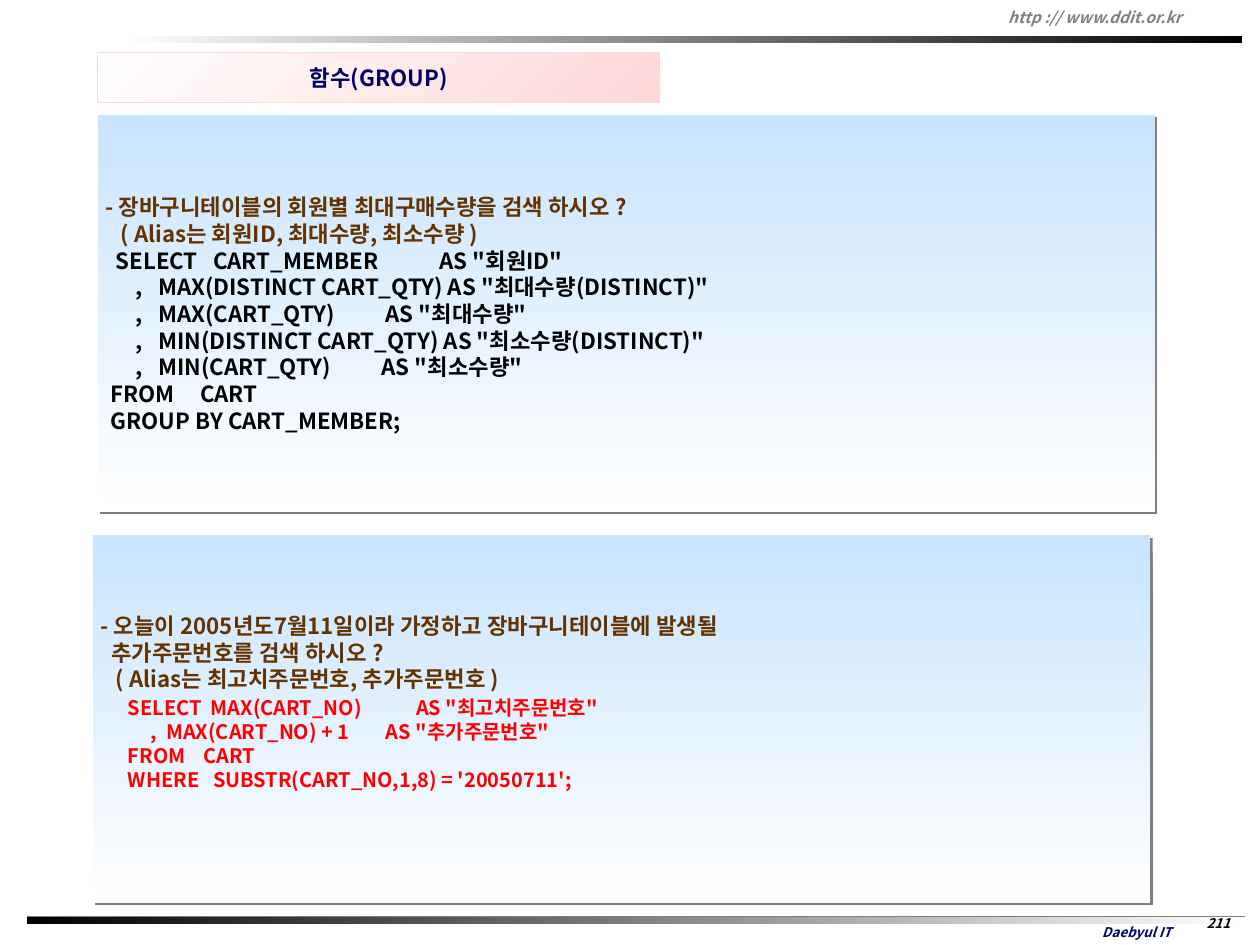
from dataclasses import dataclass
from lxml.etree import SubElement
from pptx import Presentation
from pptx.dml.color import RGBColor
from pptx.enum.shapes import MSO_CONNECTOR, MSO_SHAPE
from pptx.enum.text import MSO_ANCHOR, PP_ALIGN
from pptx.oxml.ns import qn
from pptx.util import Emu, Inches, Pt

FONT = "Noto Sans CJK KR"
WIDE, HIGH = Inches(15.75), Inches(11.81)
NAVY, BROWN, GRAY, BLACK, WHITE, RED, PINK, SKY = (
    "000066", "663300", "808080", "000000", "FFFFFF", "FF0000", "FFD7D7", "C8E4FE")


@dataclass
class Area:
    """Left, top, width and height in percent of the slide."""
    x: float
    y: float
    w: float
    h: float

    def cut(self) -> tuple[Emu, Emu, Emu, Emu]:
        return (Emu(int(WIDE * self.x / 100)), Emu(int(HIGH * self.y / 100)),
                Emu(int(WIDE * self.w / 100)), Emu(int(HIGH * self.h / 100)))


@dataclass
class Line:
    text: str
    color: str
    size: int = 20
    indent: float = 0
    slant: bool = False


@dataclass
class Bar:
    area: Area
    start: str
    end: str
    angle: int = 0
    edge: str = ""
    shade: bool = False


@dataclass
class Label:
    area: Area
    lines: list[Line]
    align: PP_ALIGN = PP_ALIGN.LEFT
    anchor: MSO_ANCHOR = MSO_ANCHOR.MIDDLE
    wrap: bool = True
    side: float = 0.1


@dataclass
class Panel:
    bar: Bar
    lines: list[Line]
    foot: float = 0.09


def rgb(code: str) -> RGBColor:
    return RGBColor.from_string(code)


def code(text: str, color: str, size: int) -> list[Line]:
    return [Line(row, color, size) for row in text.split("\n")]


def write(frame, lines: list[Line], align: PP_ALIGN, anchor: MSO_ANCHOR, wrap: bool = True) -> None:
    frame.word_wrap = wrap
    frame.vertical_anchor = anchor
    for num, line in enumerate(lines):
        para = frame.paragraphs[0] if num == 0 else frame.add_paragraph()
        para.alignment = align
        if line.indent:
            para._p.get_or_add_pPr().set("marL", str(Inches(line.indent)))
        run = para.add_run()
        run.text = line.text
        font = run.font
        font.name, font.size, font.bold, font.italic = FONT, Pt(line.size), True, line.slant
        font.color.rgb = rgb(line.color)
        SubElement(run._r.get_or_add_rPr(), qn("a:ea"), typeface=FONT)


def cast(shape) -> None:
    """Give the shape a hard gray shadow to the lower right."""
    glow = SubElement(shape._element.spPr.find(qn("a:effectLst")), qn("a:outerShdw"),
                      dist=str(Pt(2.8)), dir="2700000", algn="ctr", rotWithShape="0")
    SubElement(glow, qn("a:srgbClr"), val=GRAY)


def draw(slide, bar: Bar):
    shape = slide.shapes.add_shape(MSO_SHAPE.RECTANGLE, *bar.area.cut())
    shape.shadow.inherit = False
    shape.fill.gradient()
    shape.fill.gradient_angle = (360 - bar.angle) % 360
    for stop, color in zip(shape.fill.gradient_stops, (bar.start, bar.end)):
        stop.color.rgb = rgb(color)
    if bar.edge:
        shape.line.color.rgb = rgb(bar.edge)
        shape.line.width = Pt(0.75)
    else:
        shape.line.fill.background()
    if bar.shade:
        cast(shape)
    return shape


def rule(slide, area: Area) -> None:
    left, top, width, _ = area.cut()
    line = slide.shapes.add_connector(MSO_CONNECTOR.STRAIGHT, left, top, left + width, top)
    line.line.color.rgb = rgb(GRAY)
    line.line.width = Pt(1.5)
    SubElement(line._element.spPr, qn("a:effectLst"))


def label(slide, item: Label) -> None:
    frame = slide.shapes.add_textbox(*item.area.cut()).text_frame
    frame.margin_left = frame.margin_right = Inches(item.side)
    write(frame, item.lines, item.align, item.anchor, item.wrap)


def panel(slide, item: Panel) -> None:
    frame = draw(slide, item.bar).text_frame
    frame.margin_top, frame.margin_bottom = Inches(0.09), Inches(item.foot)
    write(frame, item.lines, PP_ALIGN.LEFT, MSO_ANCHOR.MIDDLE)


GROUP = '''  SELECT   CART_MEMBER            AS "회원ID"
      ,   MAX(DISTINCT CART_QTY) AS "최대수량(DISTINCT)"
      ,   MAX(CART_QTY)          AS "최대수량"
      ,   MIN(DISTINCT CART_QTY) AS "최소수량(DISTINCT)"
      ,   MIN(CART_QTY)          AS "최소수량"
 FROM     CART
 GROUP BY CART_MEMBER;'''
ORDER = '''SELECT  MAX(CART_NO)            AS "최고치주문번호"
     ,  MAX(CART_NO) + 1        AS "추가주문번호"
FROM    CART
WHERE   SUBSTR(CART_NO,1,8) = '20050711';'''

BASE = Area(2.16, 97.04, 96.63, 0.76)
BARS = [Bar(BASE, BLACK, WHITE), Bar(Area(9.65, 3.81, 88.89, 0.76), WHITE, BLACK)]
LABELS = [
    Label(Area(84.19, 97.21, 12.06, 2.79), [Line("Daebyul IT", NAVY, 12, slant=True)],
          PP_ALIGN.CENTER),
    Label(Area(79.37, 0.17, 20.38, 3.22),
          [Line("http :// www.ddit.or.kr", GRAY, 14, slant=True)]),
    Label(Area(95.5, 96.44, 2.4, 2.62), [Line("211", BLACK, 12, slant=True)],
          PP_ALIGN.CENTER, MSO_ANCHOR.TOP, wrap=False, side=0),
]
PANELS = [
    Panel(Bar(Area(7.75, 12.19, 83.94, 42), SKY, WHITE, 90, shade=True), [
        Line("- 장바구니테이블의 회원별 최대구매수량을 검색 하시오 ?", BROWN),
        Line("( Alias는 회원ID, 최대수량, 최소수량 )", BROWN, indent=0.19),
        *code(GROUP, BLACK, 20)]),
    Panel(Bar(Area(7.37, 56.65, 83.94, 38.87), SKY, WHITE, 90, shade=True), [
        Line("- 오늘이 2005년도7월11일이라 가정하고 장바구니테이블에 발생될", BROWN),
        Line("추가주문번호를 검색 하시오 ?", BROWN, indent=0.13),
        Line("( Alias는 최고치주문번호, 추가주문번호 )", BROWN, indent=0.19)], foot=1.76),
]
TITLE = Bar(Area(7.75, 5.59, 44.63, 5.25), WHITE, PINK, 45, PINK)
QUERY = Label(Area(9.52, 73.16, 50.03, 11.09), code(ORDER, RED, 18), anchor=MSO_ANCHOR.TOP)


def main() -> None:
    deck = Presentation()
    deck.slide_width, deck.slide_height = WIDE, HIGH
    slide = deck.slides.add_slide(deck.slide_layouts[6])
    rule(slide, BASE)
    for bar in BARS:
        draw(slide, bar)
    for item in LABELS:
        label(slide, item)
    for item in PANELS:
        panel(slide, item)
    write(draw(slide, TITLE).text_frame, [Line("함수(GROUP)", NAVY)],
          PP_ALIGN.CENTER, MSO_ANCHOR.MIDDLE, False)
    label(slide, QUERY)
    deck.save("out.pptx")


if __name__ == "__main__":
    main()
